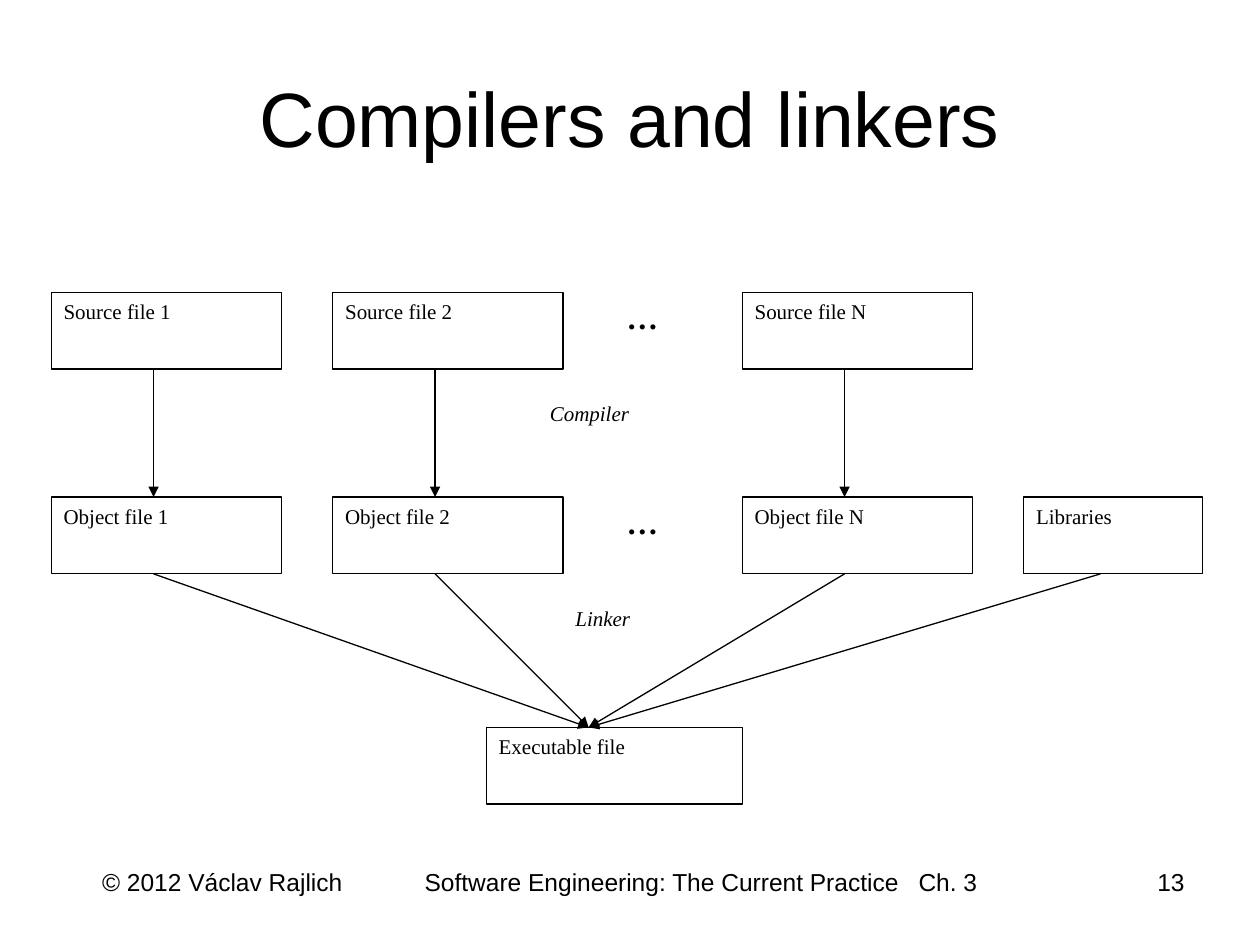
from lxml import etree
from pptx import Presentation
from pptx.dml.color import RGBColor
from pptx.enum.shapes import MSO_CONNECTOR, MSO_SHAPE
from pptx.enum.text import MSO_ANCHOR, PP_ALIGN
from pptx.oxml.ns import qn
from pptx.util import Inches, Pt

RECT, LINE = MSO_SHAPE.RECTANGLE, MSO_CONNECTOR.STRAIGHT
LEFT, MID, RIGHT = PP_ALIGN.LEFT, PP_ALIGN.CENTER, PP_ALIGN.RIGHT
TOP, CENTRE = MSO_ANCHOR.TOP, MSO_ANCHOR.MIDDLE
SANS, SERIF = "Arial", "Times New Roman"
BLACK, WHITE = "000000", "FFFFFF"

# Diagram grid: 32 cells span 6.5 inches, first row starts at Y0
CELL, Y0, HIGH = 6.5 / 32, 2.32, 3
SRC, OBJ, EXE = 0, 8, 17

# text, column, row, width in cells, style
LABELS = [
    ("Linker", 22, 12, 6, "italic"),
    ("…", 24, SRC, 4, "bold"),
    ("…", 24, OBJ, 4, "bold"),
    ("Compiler", 21, 4, 8, "italic"),
]
FILES = [(2, "1"), (13, "2"), (29, "N")]
BOXES = [(f"{kind} file {name}", col, row, 9, "box")
         for kind, row in (("Source", SRC), ("Object", OBJ))
         for col, name in FILES]
BOXES += [("Libraries", 40, OBJ, 7, "box"),
          ("Executable file", 19, EXE, 10, "box")]

# start column, start row, end column, end row
PORTS = [col + 4 for col, _ in FILES]
ARROWS = [(x, SRC + HIGH, x, OBJ) for x in PORTS]
ARROWS += [(x, OBJ + HIGH, 23, EXE) for x in PORTS + [43]]

# text, place in inches, size, alignment, anchor, left inset, tab stops
TEXTS = [
    ("Compilers and linkers", (0.5, 0.3, 9, 1.25), 44, MID, CENTRE, 0.1, []),
    ("© 2012 Václav Rajlich\tSoftware Engineering: The Current Practice\tCh. 3",
     (0.5, 6.83, 7.58, 0.52), 14, LEFT, TOP, 0.31, [2.56, 6.48]),
    ("13", (8.33, 6.83, 1.17, 0.52), 14, RIGHT, TOP, 0.1, []),
]


def color(code):
    """Turn a hex string into a colour."""
    return RGBColor.from_string(code)


def spot(col, row):
    """Give the slide position of a grid point."""
    return Inches(col * CELL), Inches(Y0 + row * CELL)


def write(shape, text, size, face, align=LEFT, anchor=TOP):
    """Fill a shape with one styled paragraph and return it."""
    frame = shape.text_frame
    frame.word_wrap = True
    frame.vertical_anchor = anchor
    frame.text = text
    para = frame.paragraphs[0]
    para.alignment = align
    font = para.runs[0].font
    font.size, font.name = Pt(size), face
    font.color.rgb = color(BLACK)
    return para


def add_text(slide, text, place, size, align, anchor, inset, stops):
    """Add a text box, with tab stops if any are given."""
    box = slide.shapes.add_textbox(*map(Inches, place))
    para = write(box, text, size, SANS, align, anchor)
    box.text_frame.margin_left = Inches(inset)
    if stops:
        tabs = etree.SubElement(para._p.get_or_add_pPr(), qn("a:tabLst"))
        for stop in stops:
            etree.SubElement(tabs, qn("a:tab"), pos=str(Inches(stop)), algn="l")


def add_box(slide, text, col, row, wide, style):
    """Add a file box or a plain label on the grid."""
    box = slide.shapes.add_shape(
        RECT, *spot(col, row), Inches(wide * CELL), Inches(HIGH * CELL))
    box.shadow.inherit = False
    box.fill.solid()
    box.fill.fore_color.rgb = color(WHITE)
    if style == "box":
        box.line.color.rgb = color(BLACK)
        box.line.width = Pt(0.74)
    else:
        box.line.fill.background()
    para = write(box, text, 18 if style == "bold" else 12, SERIF)
    font = para.runs[0].font
    font.bold, font.italic = style == "bold", style == "italic"


def add_arrow(slide, x1, y1, x2, y2):
    """Add an arrow between two grid points."""
    arrow = slide.shapes.add_connector(LINE, *spot(x1, y1), *spot(x2, y2))
    arrow.line.color.rgb = color(BLACK)
    arrow.line.width = Pt(0.74)
    etree.SubElement(arrow.line._get_or_add_ln(), qn("a:tailEnd"),
                     type="triangle")
    etree.SubElement(arrow._element.spPr, qn("a:effectLst"))


def main():
    """Build and save the slide."""
    deck = Presentation()
    deck.slide_width, deck.slide_height = Inches(10), Inches(7.5)
    slide = deck.slides.add_slide(deck.slide_layouts[6])
    for item in TEXTS:
        add_text(slide, *item)
    for item in LABELS + BOXES:
        add_box(slide, *item)
    for item in ARROWS:
        add_arrow(slide, *item)
    deck.save("out.pptx")


main()
